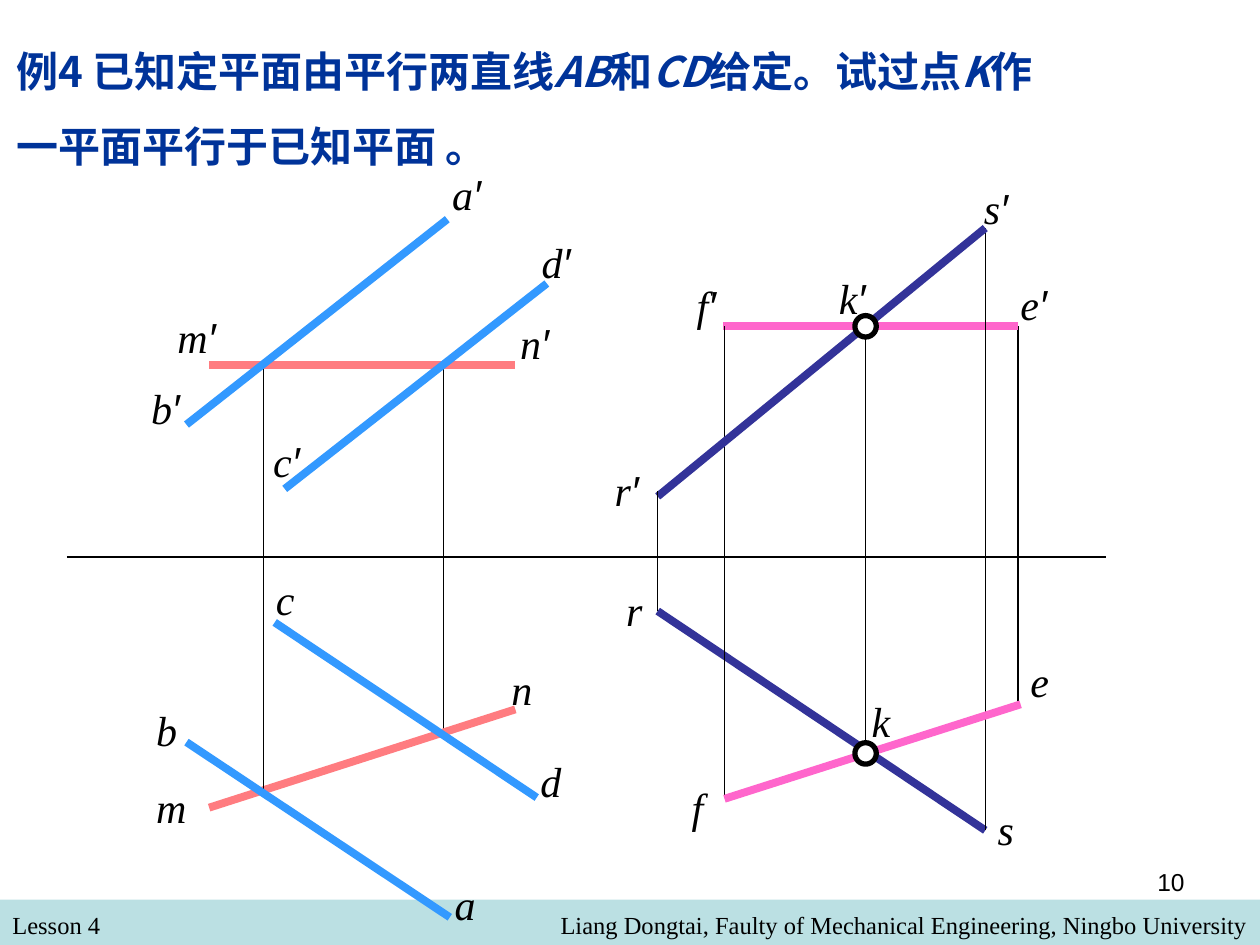
from typing import NamedTuple

from lxml import etree
from pptx import Presentation
from pptx.dml.color import RGBColor
from pptx.enum.shapes import MSO_CONNECTOR, MSO_SHAPE
from pptx.enum.text import MSO_ANCHOR, MSO_AUTO_SIZE, PP_ALIGN
from pptx.oxml.ns import qn
from pptx.util import Inches, Pt

STRAIGHT = MSO_CONNECTOR.STRAIGHT
RECTANGLE, OVAL = MSO_SHAPE.RECTANGLE, MSO_SHAPE.OVAL
LEFT, RIGHT = PP_ALIGN.LEFT, PP_ALIGN.RIGHT

BLACK = RGBColor(0x00, 0x00, 0x00)
WHITE = RGBColor(0xFF, 0xFF, 0xFF)
TITLE_BLUE = RGBColor(0x00, 0x33, 0x99)
FOOTER_TEAL = RGBColor(0xBB, 0xE0, 0xE3)
GIVEN_BLUE = RGBColor(0x33, 0x99, 0xFF)
HELPER_RED = RGBColor(0xFF, 0x7C, 0x80)
ANSWER_NAVY = RGBColor(0x33, 0x33, 0x99)
ANSWER_PINK = RGBColor(0xFF, 0x66, 0xCC)

SERIF, SANS, CHINESE = "Times New Roman", "Arial", "Noto Sans CJK SC"
THIN, THICK = 0.75, 4.5
AXIS_Y = 4.42
K_X, K_FRONT_Y, K_TOP_Y, K_SIZE = 6.87, 2.59, 5.98, 0.17


class Segment(NamedTuple):
    x1: float
    y1: float
    x2: float
    y2: float
    color: RGBColor = BLACK
    weight: float = THIN


class Label(NamedTuple):
    text: str
    left: float
    top: float


# Back to front: projection lines and the lines of both planes
SEGMENTS = [
    Segment(3.52, 2.9, 3.52, 5.85),
    Segment(5.22, 4.85, 7.82, 6.59, ANSWER_NAVY, THICK),   # rs
    Segment(8.08, 5.59, 8.08, K_FRONT_Y),
    Segment(1.66, 2.9, 4.09, 2.9, HELPER_RED, THICK),      # m′n′
    Segment(1.66, 6.41, 4.09, 5.63, HELPER_RED, THICK),    # mn
    Segment(8.08, K_FRONT_Y, 5.74, K_FRONT_Y, ANSWER_PINK, THICK),  # e′f′
    Segment(5.75, K_FRONT_Y, 5.75, 6.33),
    Segment(7.82, 6.59, 7.82, 1.81),
    Segment(7.82, 1.81, 5.22, 3.94, ANSWER_NAVY, THICK),   # s′r′
    Segment(2.09, 2.9, 2.09, 6.28),
    Segment(5.75, 6.34, 8.1, 5.59, ANSWER_PINK, THICK),    # fe
    Segment(5.22, 3.9, 5.22, 4.85),
    Segment(4.34, 2.25, 2.26, 3.88, GIVEN_BLUE, THICK),    # d′c′
    Segment(2.18, 4.94, 4.26, 6.33, GIVEN_BLUE, THICK),    # cd
    Segment(0.53, AXIS_Y, 8.78, AXIS_Y),
    Segment(3.55, 1.74, 1.48, 3.37, GIVEN_BLUE, THICK),    # a′b′
    Segment(1.48, 5.89, 3.57, 7.28, GIVEN_BLUE, THICK),    # ba
    Segment(K_X, K_FRONT_Y, K_X, K_TOP_Y),
]

LABELS = [
    Label("a′", 3.49, 1.29), Label("a", 3.51, 6.92),
    Label("b′", 1.1, 2.99), Label("b", 1.14, 5.54),
    Label("c′", 2.07, 3.41), Label("c", 2.09, 4.5),
    Label("d′", 4.2, 1.83), Label("d", 4.19, 5.95),
    Label("m′", 1.31, 2.42), Label("m", 1.14, 6.15),
    Label("n′", 4.03, 2.47), Label("n", 3.96, 5.22),
    Label("e′", 8.0, 2.16), Label("e", 8.08, 5.15),
    Label("f′", 5.43, 2.17), Label("f", 5.39, 6.15),
    Label("r′", 4.78, 3.64), Label("r", 4.87, 4.59),
    Label("s′", 7.71, 1.4), Label("s", 7.82, 6.33),
    Label("k′", 6.56, 2.11), Label("k", 6.82, 5.47),
]

# Problem statement; line names are set in italics
TITLE_PARTS = ["例4 已知定平面由平行两直线", "AB", "和", "CD",
               "给定。试过点", "K", "作一平面平行于已知平面 。"]


def add_title(slide) -> None:
    title = slide.shapes.title
    title.left, title.top = Inches(0.03), Inches(0.11)
    title.width, title.height = Inches(8.59), Inches(1.3)
    frame = title.text_frame
    frame.word_wrap = True
    frame.auto_size = MSO_AUTO_SIZE.NONE
    frame.vertical_anchor = MSO_ANCHOR.TOP
    paragraph = frame.paragraphs[0]
    paragraph.alignment = LEFT
    paragraph.line_spacing = 1.5
    for part in TITLE_PARTS:
        run = paragraph.add_run()
        run.text = part
        font = run.font
        font.size, font.bold, font.italic = Pt(24), True, part.isascii()
        font.color.rgb = TITLE_BLUE
        font.name = CHINESE
        east_asian = etree.SubElement(run._r.get_or_add_rPr(), qn("a:ea"))
        east_asian.set("typeface", CHINESE)


def add_text(slide, text: str, left: float, top: float, width: float,
             height: float, font_name: str, size: int = 14, align=LEFT):
    box = slide.shapes.add_textbox(Inches(left), Inches(top),
                                   Inches(width), Inches(height))
    frame = box.text_frame
    frame.word_wrap = True
    frame.text = text
    paragraph = frame.paragraphs[0]
    paragraph.alignment = align
    font = paragraph.runs[0].font
    font.name, font.size = font_name, Pt(size)
    font.color.rgb = BLACK
    return paragraph


def add_label(slide, label: Label) -> None:
    paragraph = add_text(slide, label.text[0], label.left, label.top,
                         0.69, 0.5, SERIF, 24)
    prime = label.text[1:]
    if prime:
        run = paragraph.add_run()
        run.text = prime
        run.font.name, run.font.size = SANS, Pt(24)
        run.font.color.rgb = BLACK
    for run in paragraph.runs:
        run.font.italic = True


def add_segment(slide, segment: Segment) -> None:
    ends = [Inches(value) for value in segment[:4]]
    line = slide.shapes.add_connector(STRAIGHT, *ends)
    line.line.color.rgb = segment.color
    line.line.width = Pt(segment.weight)
    etree.SubElement(line._element.spPr, qn("a:effectLst"))


def add_point(slide, x: float, y: float) -> None:
    point = slide.shapes.add_shape(
        OVAL, Inches(x - K_SIZE / 2), Inches(y - K_SIZE / 2),
        Inches(K_SIZE), Inches(K_SIZE))
    point.shadow.inherit = False
    point.fill.solid()
    point.fill.fore_color.rgb = WHITE
    point.line.color.rgb = BLACK
    point.line.width = Pt(3)


def add_footer(slide) -> None:
    band = slide.shapes.add_shape(RECTANGLE, 0, Inches(7.14),
                                  Inches(10), Inches(0.36))
    band.shadow.inherit = False
    band.fill.solid()
    band.fill.fore_color.rgb = FOOTER_TEAL
    band.line.fill.background()
    add_text(slide, "Lesson 4", 0, 7.17, 4.83, 0.34, SERIF)
    add_text(slide, "Liang Dongtai, Faulty of Mechanical Engineering, "
             "Ningbo University", 1.83, 7.17, 8.17, 0.34, SERIF, align=RIGHT)
    add_text(slide, "10", 7.17, 6.83, 2.33, 0.52, SANS, align=RIGHT)


def main() -> None:
    deck = Presentation()
    deck.slide_width, deck.slide_height = Inches(10), Inches(7.5)
    slide = deck.slides.add_slide(deck.slide_layouts[5])

    add_title(slide)
    add_footer(slide)
    # Two-view drawing
    for segment in SEGMENTS:
        add_segment(slide, segment)
    for label in LABELS:
        add_label(slide, label)
    # Point K in both views
    for y in (K_FRONT_Y, K_TOP_Y):
        add_point(slide, K_X, y)

    deck.save("out.pptx")


if __name__ == "__main__":
    main()
